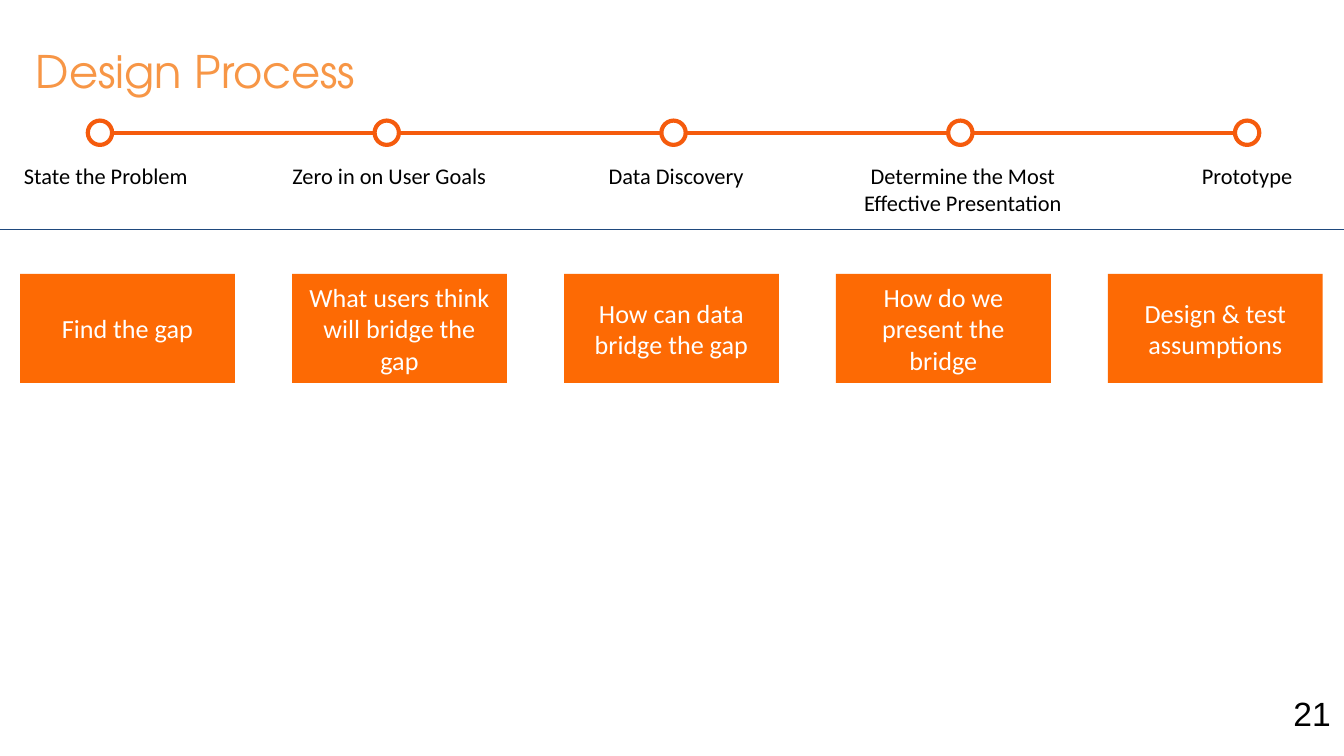
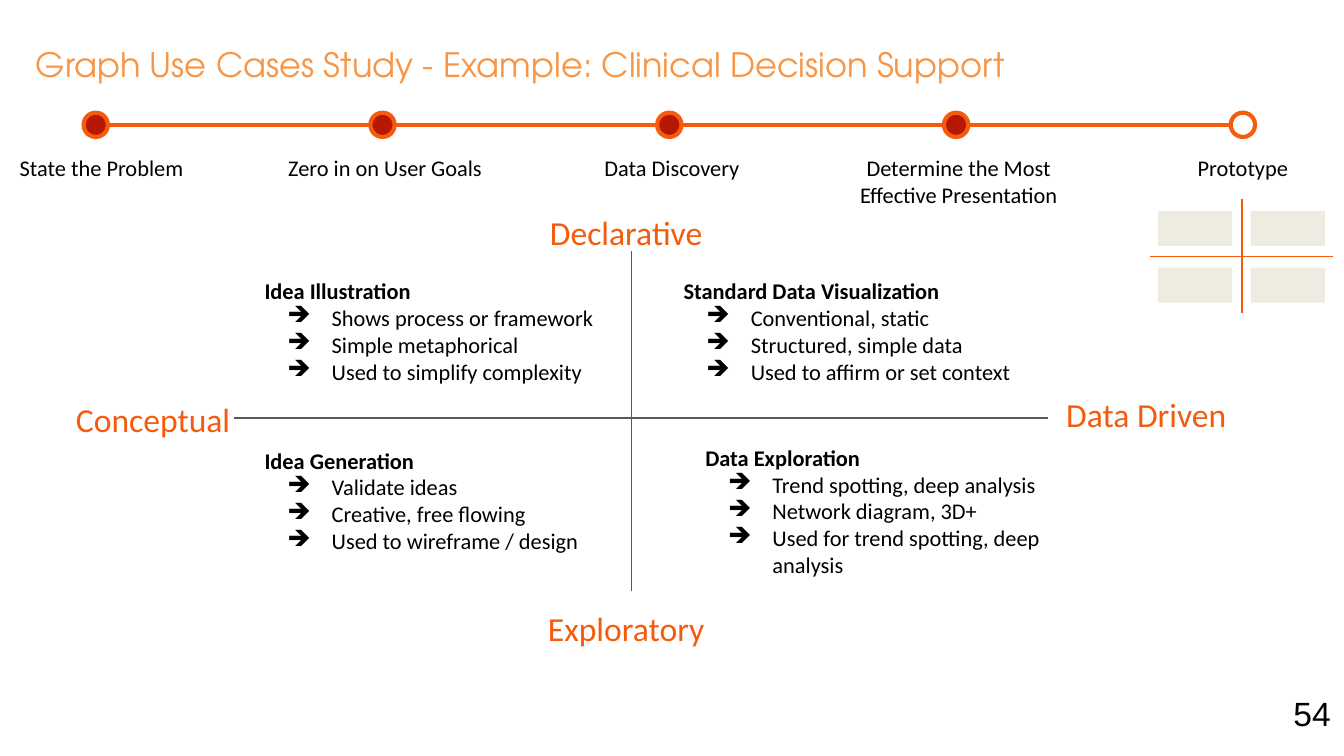
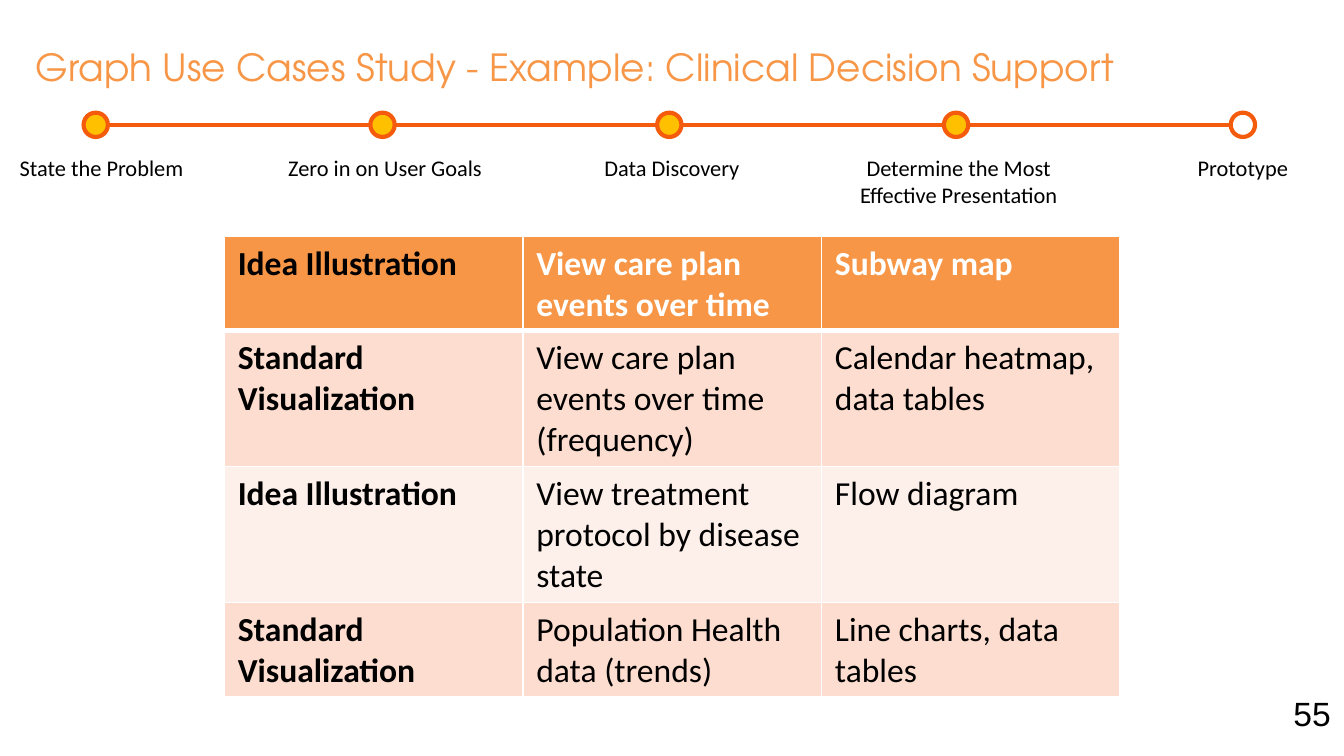
import lxml.etree
import pptx
import pptx.dml.color
import pptx.enum.shapes
import pptx.enum.text
import pptx.oxml
import pptx.oxml.ns
import pptx.util

Cm = pptx.util.Cm
Pt = pptx.util.Pt
SHAPE = pptx.enum.shapes.MSO_SHAPE
ALIGN = pptx.enum.text.PP_ALIGN
ANCHOR = pptx.enum.text.MSO_ANCHOR

BLACK, WHITE = "000000", "FFFFFF"
TITLE, ACCENT, CARD = "F79646", "F55B0D", "FD6A04"
RULE, AXIS, TILE = "1F497D", "595959", "EEECE1"
DONE_RED, DONE_YELLOW = "B71804", "FFC000"
HEADER_ROW, BANDS = TITLE, ("FCDDCF", "FDEFE9")
BODY_FONT, TITLE_FONT, NUMBER_FONT = "Calibri", "TeX Gyre Adventor", "Arial"
INSET = 0.25

CASE_TITLE = "Graph Use Cases Study - Example: Clinical Decision Support"
STEP_GAP, DOT = 5.42, 0.46
STEPS = [
    ("State the Problem", 3.84, 0.11),
    ("Zero in on User Goals", 4.27, 0.05),
    ("Data Discovery", 3.96, 0.05),
    ("Determine the Most Effective Presentation", 5.08, 0.05),
    ("Prototype", 3.84, 0),
]
CARDS = [
    "Find the gap",
    "What users think will bridge the gap",
    "How can data bridge the gap",
    "How do we present the bridge",
    "Design & test assumptions",
]
POLES = [
    ("Declarative", 8.94, 0),
    ("Exploratory", 8.94, 7.49),
    ("Conceptual", 0, 3.53),
    ("Data Driven", 18.77, 3.43),
]
QUADRANTS = [
    ((3.71, 3.91, 8.33, 3.58), "Idea Generation",
     ["Validate ideas", "Creative, free flowing", "Used to wireframe / design"]),
    ((11.63, 1.29, 7.72, 2.41), "Standard Data Visualization",
     ["Conventional, static", "Structured, simple data", "Used to affirm or set context"]),
    ((12.04, 4.11, 8.2, 3.58), "Data Exploration",
     ["Trend spotting, deep analysis", "Network diagram, 3D+",
      "Used for trend spotting, deep analysis"]),
    ((3.71, 1.29, 8.33, 2.41), "Idea Illustration",
     ["Shows process or framework", "Simple metaphorical", "Used to simplify complexity"]),
]
USE_CASES = [
    ("Idea Illustration", "View care plan events over time", "Subway map"),
    ("Standard Visualization", "View care plan events over time (frequency)",
     "Calendar heatmap, data tables"),
    ("Idea Illustration", "View treatment protocol by disease state", "Flow diagram"),
    ("Standard Visualization", "Population Health data (trends)", "Line charts, data tables"),
]
ROW_HEIGHTS = [1.75, 2.57, 2.57, 1.75]


def rgb(color):
    """Turn a hex string into a colour."""
    return pptx.dml.color.RGBColor.from_string(color)


def style(paragraph, size, color=BLACK, font=BODY_FONT, bold=False):
    """Format every run of a paragraph."""
    for run in paragraph.runs:
        run.font.size = Pt(size)
        run.font.name = font
        run.font.bold = bold
        run.font.color.rgb = rgb(color)


def set_frame(frame, anchor):
    """Wrap a text frame with even insets."""
    frame.word_wrap = True
    frame.vertical_anchor = anchor
    frame.margin_left = frame.margin_right = Cm(INSET)
    frame.margin_top = frame.margin_bottom = Cm(INSET)


def write(holder, text, size, align=ALIGN.CENTER, anchor=ANCHOR.TOP, **look):
    """Put one styled paragraph into a shape or text box."""
    frame = holder.text_frame
    set_frame(frame, anchor)
    frame.text = text
    frame.paragraphs[0].alignment = align
    style(frame.paragraphs[0], size, **look)


def add_label(shapes, box, text, size, **look):
    """Add a text box with one paragraph."""
    write(shapes.add_textbox(*map(Cm, box)), text, size, **look)


def add_block(shapes, kind, box, fill, outline=None):
    """Add a filled shape, outlined on request."""
    block = shapes.add_shape(kind, *map(Cm, box))
    block.shadow.inherit = False
    block.fill.solid()
    block.fill.fore_color.rgb = rgb(fill)
    if outline:
        block.line.color.rgb = rgb(outline)
        block.line.width = Pt(2.25)
    else:
        block.line.fill.background()
    return block


def add_line(shapes, start, end, color, width=0.75):
    """Add a straight line without a shadow."""
    line = shapes.add_connector(
        pptx.enum.shapes.MSO_CONNECTOR.STRAIGHT, *map(Cm, (*start, *end)))
    line.line.color.rgb = rgb(color)
    line.line.width = Pt(width)
    lxml.etree.SubElement(line._element.spPr, pptx.oxml.ns.qn("a:effectLst"))


def add_page(deck, title, title_size, number, title_width=20.12):
    """Add a slide with its title and page number."""
    slide = deck.slides.add_slide(deck.slide_layouts[6])
    add_label(slide.shapes, (0.43, 0.58, title_width, 1.47), title, title_size,
              align=ALIGN.LEFT, color=TITLE, font=TITLE_FONT)
    add_label(slide.shapes, (23.88, 12.93, 1.52, 1.09), number, 18,
              align=ALIGN.RIGHT, anchor=ANCHOR.MIDDLE, font=NUMBER_FONT)
    return slide


def add_timeline(slide, left, middle, done=0, done_color=WHITE):
    """Draw the process steps from the centre of the first dot."""
    shapes = slide.shapes.add_group_shape().shapes
    end = left + STEP_GAP * (len(STEPS) - 1)
    add_line(shapes, (left, middle), (end, middle), ACCENT, 2.25)
    for index, (step, width, shift) in enumerate(STEPS):
        center = left + index * STEP_GAP
        add_block(shapes, SHAPE.OVAL, (center - DOT / 2, middle - DOT / 2, DOT, DOT),
                  done_color if index < done else WHITE, ACCENT)
        add_label(shapes, (center + shift - width / 2, middle + 0.31, width, 1.73), step, 12)


def add_cards(slide, left, top):
    """Lay out the row of step summaries."""
    for index, summary in enumerate(CARDS):
        card = add_block(slide.shapes, SHAPE.RECTANGLE,
                         (left + index * 5.14, top, 4.06, 2.06), CARD)
        write(card, summary, 14, anchor=ANCHOR.MIDDLE, color=WHITE)


def add_bullet(paragraph):
    """Give a paragraph a hanging arrow bullet."""
    properties = paragraph._p.get_or_add_pPr()
    properties.set("marL", str(Cm(1.27)))
    properties.set("indent", str(-Cm(0.84)))
    bullet_color = lxml.etree.SubElement(properties, pptx.oxml.ns.qn("a:buClr"))
    lxml.etree.SubElement(bullet_color, pptx.oxml.ns.qn("a:srgbClr"), val=BLACK)
    lxml.etree.SubElement(properties, pptx.oxml.ns.qn("a:buChar"), char="➔")


def add_quadrant(shapes, box, heading, points):
    """Write one quadrant's heading and bullets."""
    frame = shapes.add_textbox(*map(Cm, box)).text_frame
    set_frame(frame, ANCHOR.MIDDLE)
    frame.text = heading
    style(frame.paragraphs[0], 12, bold=True)
    for point in points:
        paragraph = frame.add_paragraph()
        paragraph.text = point
        add_bullet(paragraph)
        style(paragraph, 12)


def add_matrix(slide, left, top):
    """Draw the four visualization types between their axes."""
    shapes = slide.shapes.add_group_shape().shapes
    for (x, y, width, height), heading, points in QUADRANTS:
        add_quadrant(shapes, (left + x, top + y, width, height), heading, points)
    add_line(shapes, (left + 10.9, top + 0.99), (left + 10.9, top + 7.42), AXIS)
    add_line(shapes, (left + 3.38, top + 4.14), (left + 18.77, top + 4.14), AXIS)
    for pole, x, y in POLES:
        add_label(shapes, (left + x, top + y, 3.71, 0.91), pole, 18, color=ACCENT)


def add_mini_matrix(slide, left, top):
    """Draw the small key of the four quadrants."""
    shapes = slide.shapes.add_group_shape().shapes
    add_line(shapes, (left + 1.73, top), (left + 1.73, top + 2.16), ACCENT)
    add_line(shapes, (left, top + 1.09), (left + 3.45, top + 1.09), ACCENT)
    for y in (0.23, 1.3):
        for x in (0.15, 1.9):
            add_block(shapes, SHAPE.RECTANGLE, (left + x, top + y, 1.4, 0.66), TILE)


def add_borders(cell, bottom):
    """Give a cell white borders, with its own bottom width."""
    properties = cell._tc.get_or_add_tcPr()
    for side, width in (("L", 1), ("R", 1), ("T", 1), ("B", bottom)):
        properties.append(pptx.oxml.parse_xml(
            f'<a:ln{side} {pptx.oxml.ns.nsdecls("a")} w="{Pt(width)}"><a:solidFill>'
            f'<a:srgbClr val="{WHITE}"/></a:solidFill></a:ln{side}>'))


def add_use_cases(slide, left, top, width):
    """Fill the table of use cases."""
    table = slide.shapes.add_table(
        len(USE_CASES), 3, *map(Cm, (left, top, width, sum(ROW_HEIGHTS)))).table
    table.horz_banding = False
    for row, use_case in enumerate(USE_CASES):
        table.rows[row].height = Cm(ROW_HEIGHTS[row])
        for column, text in enumerate(use_case):
            cell = table.cell(row, column)
            add_borders(cell, 1 if row else 3)
            cell.fill.solid()
            cell.fill.fore_color.rgb = rgb(BANDS[(row - 1) % 2] if row else HEADER_ROW)
            cell.text = text
            style(cell.text_frame.paragraphs[0], 18, bold=row == 0 or column == 0,
                  color=WHITE if row == 0 and column else BLACK)


def build_process(deck):
    """Build the design process slide."""
    slide = add_page(deck, "Design Process", 24, "21")
    add_timeline(slide, 1.89, 2.51)
    add_line(slide.shapes, (0, 4.34), (25.4, 4.34), RULE)
    add_cards(slide, 0.38, 5.18)


def build_quadrants(deck):
    """Build the visualization types slide."""
    slide = add_page(deck, CASE_TITLE, 18, "54")
    add_matrix(slide, 1.04, 3.76)
    add_mini_matrix(slide, 21.74, 3.76)
    add_timeline(slide, 1.81, 2.36, 4, DONE_RED)


def build_use_cases(deck):
    """Build the use case table slide."""
    slide = add_page(deck, CASE_TITLE, 20, "55", 24.33)
    add_timeline(slide, 1.81, 2.36, 4, DONE_YELLOW)
    add_use_cases(slide, 4.24, 4.47, 16.93)


def main():
    """Build and save the deck."""
    deck = pptx.Presentation()
    deck.slide_width, deck.slide_height = Cm(25.4), Cm(14.29)
    build_process(deck)
    build_quadrants(deck)
    build_use_cases(deck)
    deck.save("out.pptx")


if __name__ == "__main__":
    main()
